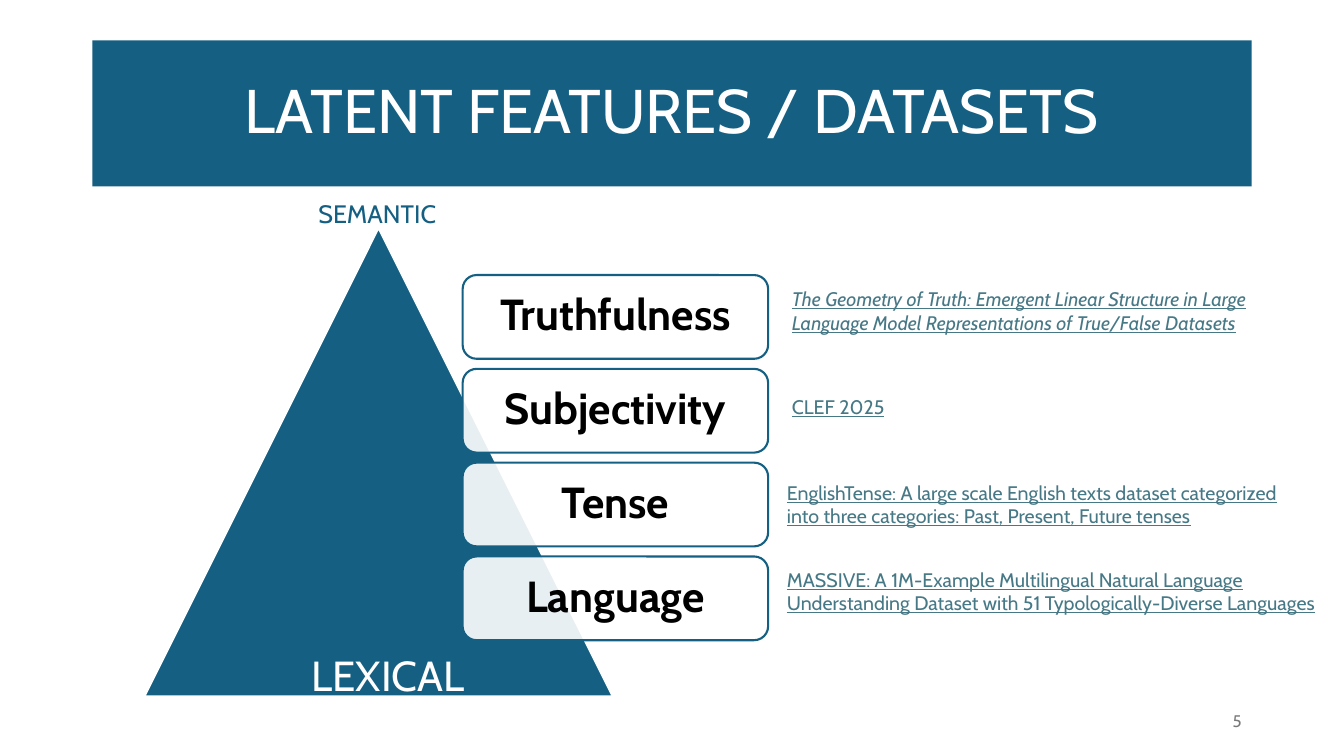
import dataclasses

import pptx
import pptx.dml.color
import pptx.enum.shapes
import pptx.enum.text
import pptx.oxml.ns
import pptx.util
from lxml import etree

Pt = pptx.util.Pt
RGB = pptx.dml.color.RGBColor.from_string
Align = pptx.enum.text.PP_ALIGN
Anchor = pptx.enum.text.MSO_ANCHOR
Preset = pptx.enum.shapes.MSO_SHAPE


@dataclasses.dataclass(frozen=True)
class Theme:
    font: str = "Cabin"
    accent: str = "156082"
    paper: str = "FFFFFF"
    ink: str = "000000"
    link: str = "467886"
    muted: str = "797979"
    title_size: float = 44
    feature_size: float = 31
    base_size: float = 30
    apex_size: float = 18
    source_size: float = 14
    number_size: float = 12


THEME = Theme()

FEATURES = [
    ("Truthfulness",
     "The Geometry of Truth: Emergent Linear Structure in Large "
     "Language Model Representations of True/False Datasets",
     (558.5, 201.6, 390, 41), True),
    ("Subjectivity", "CLEF 2025", (558.5, 278.6, 99.4, 24.5), False),
    ("Tense",
     "EnglishTense: A large scale English texts dataset categorized "
     "into three categories: Past, Present, Future tenses",
     (555, 339.8, 386.6, 41), False),
    ("Language",
     "MASSIVE: A 1M-Example Multilingual Natural Language "
     "Understanding Dataset with 51 Typologically-Diverse Languages",
     (555, 401.8, 408.2, 41), False),
]


def write(holder, text, *, size, color, align=Align.LEFT, anchor=Anchor.TOP,
          bold=False, italic=False, underline=False, wrap=True, spacing=1.0):
    frame = holder.text_frame
    frame.word_wrap = wrap
    frame.auto_size = pptx.enum.text.MSO_AUTO_SIZE.NONE
    frame.vertical_anchor = anchor
    paragraph = frame.paragraphs[0]
    paragraph.alignment = align
    paragraph.line_spacing = spacing
    run = paragraph.add_run()
    run.text = text
    font = run.font
    font.name, font.size = THEME.font, Pt(size)
    font.bold, font.italic, font.underline = bold, italic, underline
    font.color.rgb = RGB(color)


def add_label(slide, text, box, **text_format):
    label = slide.shapes.add_textbox(*map(Pt, box))
    write(label, text, **text_format)


def add_panel(slide, preset, box, fill, line, opacity=100):
    panel = slide.shapes.add_shape(preset, *map(Pt, box))
    panel.shadow.inherit = False
    panel.fill.solid()
    panel.fill.fore_color.rgb = RGB(fill)
    panel.line.color.rgb = RGB(line)
    panel.line.width = Pt(1.5)
    if opacity < 100:
        qn = pptx.oxml.ns.qn
        color = panel.fill._xPr.find(qn("a:solidFill")).find(qn("a:srgbClr"))
        etree.SubElement(color, qn("a:alpha"), val=str(opacity * 1000))
    return panel


def add_title(slide, text, box):
    title = slide.shapes.title
    title.left, title.top, title.width, title.height = map(Pt, box)
    title.fill.solid()
    title.fill.fore_color.rgb = RGB(THEME.accent)
    write(title, text, size=THEME.title_size, color=THEME.paper,
          align=Align.CENTER, anchor=Anchor.MIDDLE, spacing=0.9)


def add_feature(slide, row, name, source, source_box, italic):
    card = add_panel(slide, Preset.ROUNDED_RECTANGLE,
                     (330.5, 196.5 + 67 * row, 218.2, 59.8),
                     THEME.paper, THEME.accent, opacity=90)
    write(card, name, size=THEME.feature_size, color=THEME.ink, bold=True,
          align=Align.CENTER, anchor=Anchor.MIDDLE, spacing=0.9)
    add_label(slide, source, source_box, size=THEME.source_size,
              color=THEME.link, italic=italic, underline=True)


def main():
    deck = pptx.Presentation()
    deck.slide_width, deck.slide_height = Pt(960), Pt(540)
    slide = deck.slides.add_slide(deck.slide_layouts.get_by_name("Title Only"))

    add_title(slide, "LATENT FEATURES / DATASETS", (66, 28.8, 828, 104.4))
    add_panel(slide, Preset.ISOSCELES_TRIANGLE, (103, 162.7, 334.8, 334.8),
              THEME.accent, THEME.paper)
    for row, feature in enumerate(FEATURES):
        add_feature(slide, row, *feature)
    add_label(slide, "SEMANTIC", (220.3, 138.2, 98.6, 29), wrap=False,
              size=THEME.apex_size, color=THEME.accent)
    add_label(slide, "LEXICAL", (215.5, 460.1, 124.6, 44), wrap=False,
              size=THEME.base_size, color=THEME.paper)
    add_label(slide, "5", (678, 500.5, 216, 28.8), size=THEME.number_size,
              color=THEME.muted, align=Align.RIGHT, anchor=Anchor.MIDDLE)

    deck.save("out.pptx")


if __name__ == "__main__":
    main()
